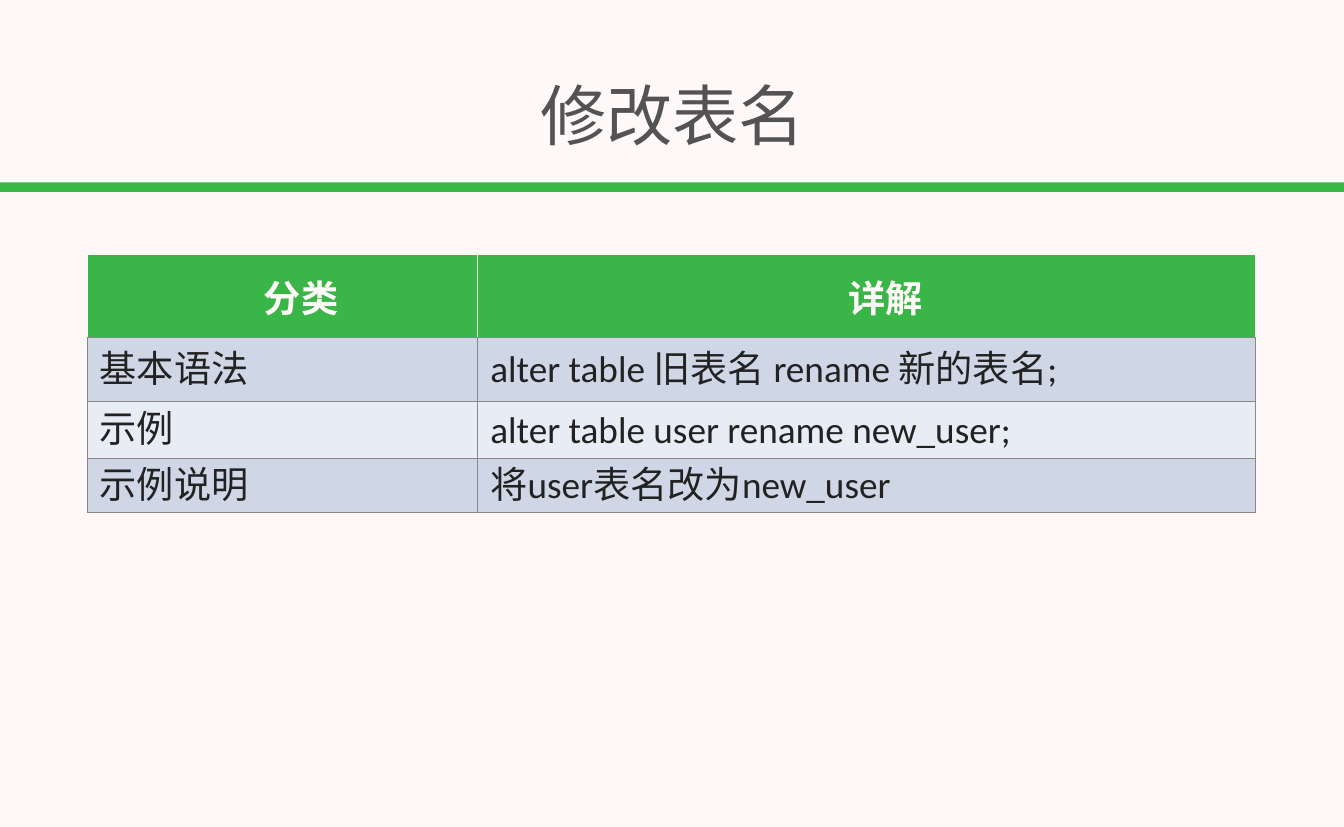
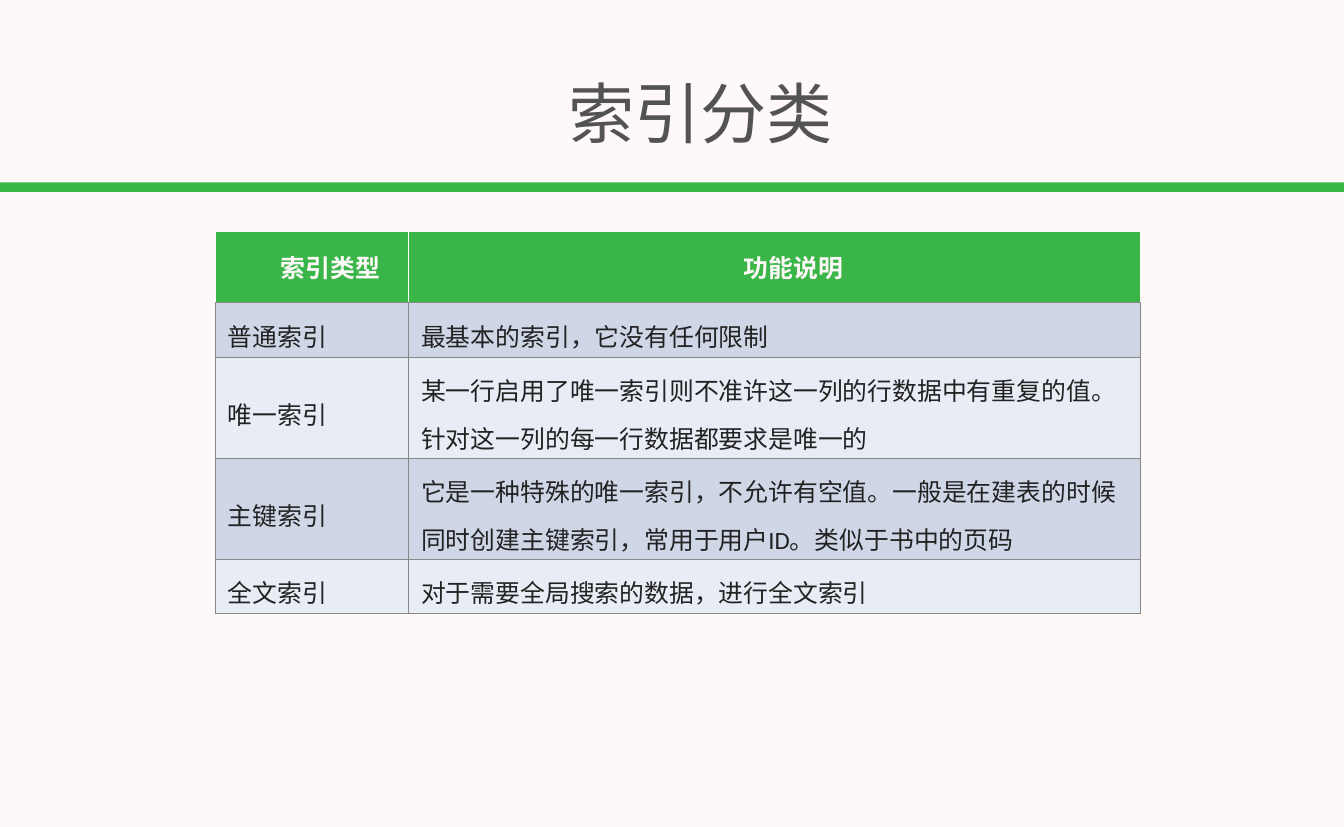
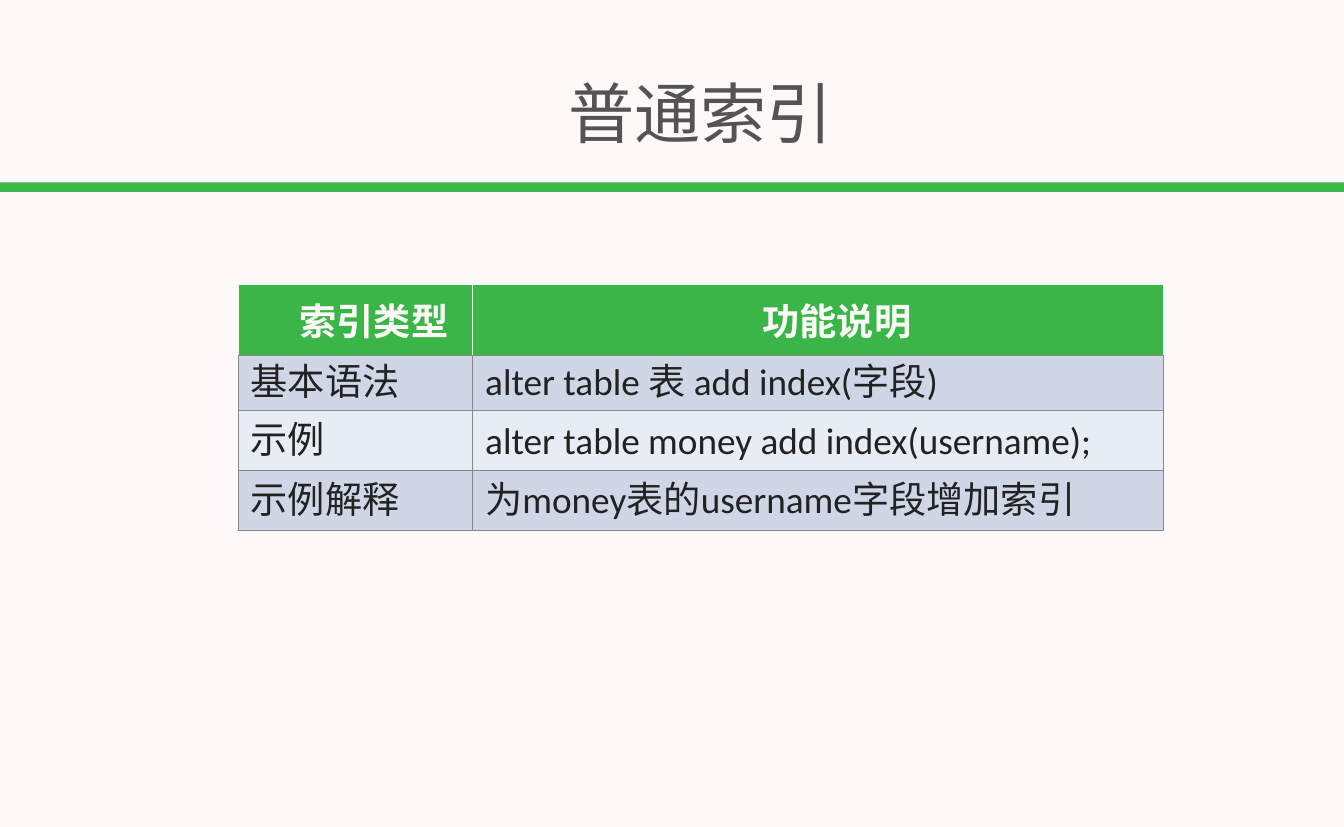
"""Build three slides on renaming tables and on database indexes."""
from dataclasses import dataclass

from lxml import etree
from pptx import Presentation
from pptx.dml.color import RGBColor
from pptx.enum.shapes import MSO_SHAPE
from pptx.enum.text import MSO_ANCHOR, PP_ALIGN
from pptx.oxml.ns import qn
from pptx.presentation import Presentation as Deck
from pptx.slide import Slide
from pptx.table import _Cell as Cell
from pptx.text.text import _Paragraph as Paragraph
from pptx.util import Inches, Pt

RECTANGLE = MSO_SHAPE.RECTANGLE
MIDDLE = MSO_ANCHOR.MIDDLE
CENTER, LEFT = PP_ALIGN.CENTER, PP_ALIGN.LEFT

PAPER = RGBColor(0xFF, 0xF8, 0xF8)
BAND_GREEN = RGBColor(0x39, 0xB7, 0x47)
HEADER_GREEN = RGBColor(0x39, 0xB6, 0x47)
TITLE_GRAY = RGBColor(0x53, 0x53, 0x53)
INK = RGBColor(0x22, 0x22, 0x22)
RULE_GRAY = RGBColor(0x88, 0x88, 0x88)
STRIPES = (RGBColor(0xCF, 0xD7, 0xE7), RGBColor(0xE8, 0xEC, 0xF4))

FONT = "Calibri"
PAGE_WIDTH, PAGE_HEIGHT = Inches(18.06), Inches(11.11)
BORDER_WIDTH = Pt(1)
SIDES = ("lnL", "lnR", "lnT", "lnB")


@dataclass(frozen=True)
class CellStyle:
    color: RGBColor
    bold: bool
    margin_x: float
    margin_y: float
    borders: tuple[RGBColor, ...]
    para_format: dict
    indent: float = 0


@dataclass(frozen=True)
class TablePage:
    title: str
    title_left: float
    title_top: float
    table_left: float
    table_top: float
    columns: tuple[float, ...]
    row_heights: tuple[float, ...]
    text_size: int
    rows: tuple[tuple[str, str], ...]


HEADER = CellStyle(PAPER, True, 0, 0, (PAPER, PAPER, PAPER, RULE_GRAY),
                   {"alignment": CENTER}, indent=0.5)
BODY = CellStyle(INK, False, 0.17, 0.04, (RULE_GRAY,) * 4,
                 {"alignment": LEFT, "line_spacing": Pt(46)})

PAGES = (
    TablePage("修改表名", 0.05, 0.82, 1.17, 3.42, (5.25, 10.45),
              (1.11, 0.86, 0.77, 0.72), 36, (
                  ("分类", "详解"),
                  ("基本语法", "alter table 旧表名 rename 新的表名;"),
                  ("示例", "alter table user rename new_user;"),
                  ("示例说明", "将user表名改为new_user"),
              )),
    TablePage("索引分类", 0.43, 0.79, 2.89, 3.11, (2.6, 9.84),
              (0.95, 0.74, 0.81, 0.81, 0.66), 24, (
                  ("索引类型", "功能说明"),
                  ("普通索引", "最基本的索引，它没有任何限制"),
                  ("唯一索引", "某一行启用了唯一索引则不准许这一列的行数据中有重复的值。"
                   "针对这一列的每一行数据都要求是唯一的"),
                  ("主键索引", "它是一种特殊的唯一索引，不允许有空值。一般是在建表的时候"
                   "同时创建主键索引，常用于用户ID。类似于书中的页码"),
                  ("全文索引", "对于需要全局搜索的数据，进行全文索引"),
              )),
    TablePage("普通索引", 0.43, 0.79, 3.2, 3.82, (3.15, 9.29),
              (0.95, 0.74, 0.81, 0.81), 36, (
                  ("索引类型", "功能说明"),
                  ("基本语法", "alter table 表 add index(字段)"),
                  ("示例", "alter table money add index(username);"),
                  ("示例解释", "为money表的username字段增加索引"),
              )),
)


def apply(target: object, values: dict) -> None:
    for name, value in values.items():
        setattr(target, name, value)


def write(para: Paragraph, text: str, size: int, color: RGBColor, bold: bool) -> None:
    span = para.add_run()
    span.text = text
    apply(span.font, {"name": FONT, "size": Pt(size), "bold": bold})
    span.font.color.rgb = color


def margins(x: float, y: float) -> dict:
    return {"margin_left": Inches(x), "margin_right": Inches(x),
            "margin_top": Inches(y), "margin_bottom": Inches(y),
            "vertical_anchor": MIDDLE}


def set_borders(cell: Cell, colors: tuple[RGBColor, ...]) -> None:
    properties = cell._tc.get_or_add_tcPr()
    for position, (side, color) in enumerate(zip(SIDES, colors)):
        line = etree.Element(qn(f"a:{side}"), w=str(BORDER_WIDTH))
        fill = etree.SubElement(line, qn("a:solidFill"))
        etree.SubElement(fill, qn("a:srgbClr"), val=str(color))
        properties.insert(position, line)


def fill_cell(cell: Cell, text: str, size: int, fill: RGBColor, style: CellStyle) -> None:
    apply(cell, margins(style.margin_x, style.margin_y))
    cell.fill.solid()
    cell.fill.fore_color.rgb = fill
    set_borders(cell, style.borders)
    para = cell.text_frame.paragraphs[0]
    apply(para, style.para_format)
    para._p.get_or_add_pPr().set("indent", str(Inches(style.indent)))
    write(para, text, size, style.color, style.bold)


def add_band(slide: Slide) -> None:
    band = slide.shapes.add_shape(RECTANGLE, 0, Inches(2.45), PAGE_WIDTH, Inches(0.13))
    band.shadow.inherit = False
    band.fill.solid()
    band.fill.fore_color.rgb = BAND_GREEN
    band.line.fill.background()


def add_title(slide: Slide, page: TablePage) -> None:
    box = slide.shapes.add_textbox(Inches(page.title_left), Inches(page.title_top),
                                   Inches(17.97), Inches(1.42))
    apply(box.text_frame, {"word_wrap": True, **margins(0.05, 0.05)})
    para = box.text_frame.paragraphs[0]
    para.alignment = CENTER
    write(para, page.title, 64, TITLE_GRAY, False)


def add_grid(slide: Slide, page: TablePage) -> None:
    table = slide.shapes.add_table(
        len(page.rows), len(page.columns),
        Inches(page.table_left), Inches(page.table_top),
        Inches(sum(page.columns)), Inches(sum(page.row_heights))).table
    table.horz_banding = False
    for column, width in zip(table.columns, page.columns):
        column.width = Inches(width)
    for row, height in zip(table.rows, page.row_heights):
        row.height = Inches(height)
    for row_index, texts in enumerate(page.rows):
        style = BODY if row_index else HEADER
        fill = STRIPES[(row_index - 1) % 2] if row_index else HEADER_GREEN
        for column_index, text in enumerate(texts):
            fill_cell(table.cell(row_index, column_index), text,
                      page.text_size, fill, style)


def add_page(deck: Deck, page: TablePage) -> None:
    slide = deck.slides.add_slide(deck.slide_layouts[6])
    add_band(slide)
    add_title(slide, page)
    add_grid(slide, page)


def main() -> None:
    deck = Presentation()
    apply(deck, {"slide_width": PAGE_WIDTH, "slide_height": PAGE_HEIGHT})
    background = deck.slide_master.background.fill
    background.solid()
    background.fore_color.rgb = PAPER
    for page in PAGES:
        add_page(deck, page)
    deck.save("out.pptx")


if __name__ == "__main__":
    main()
